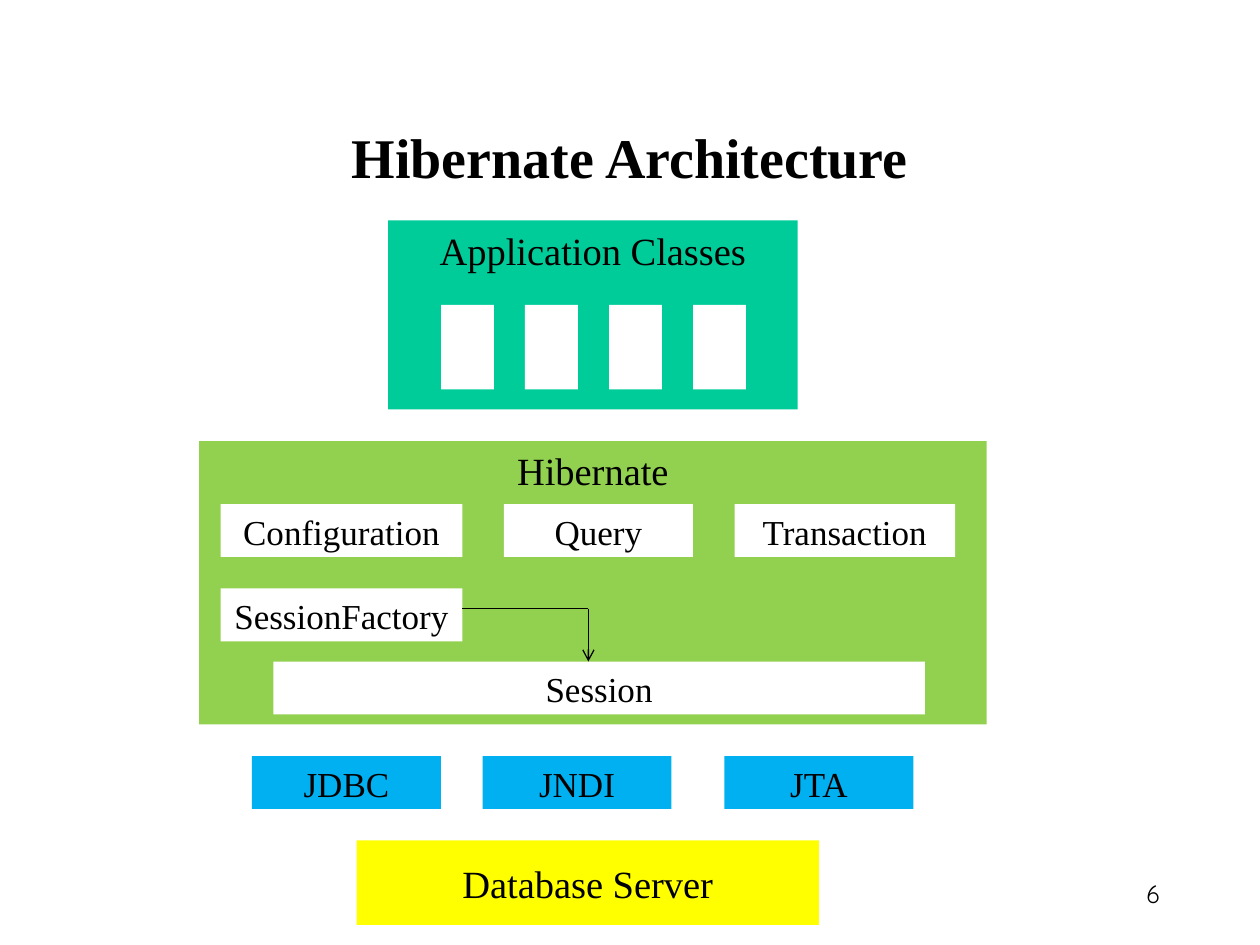
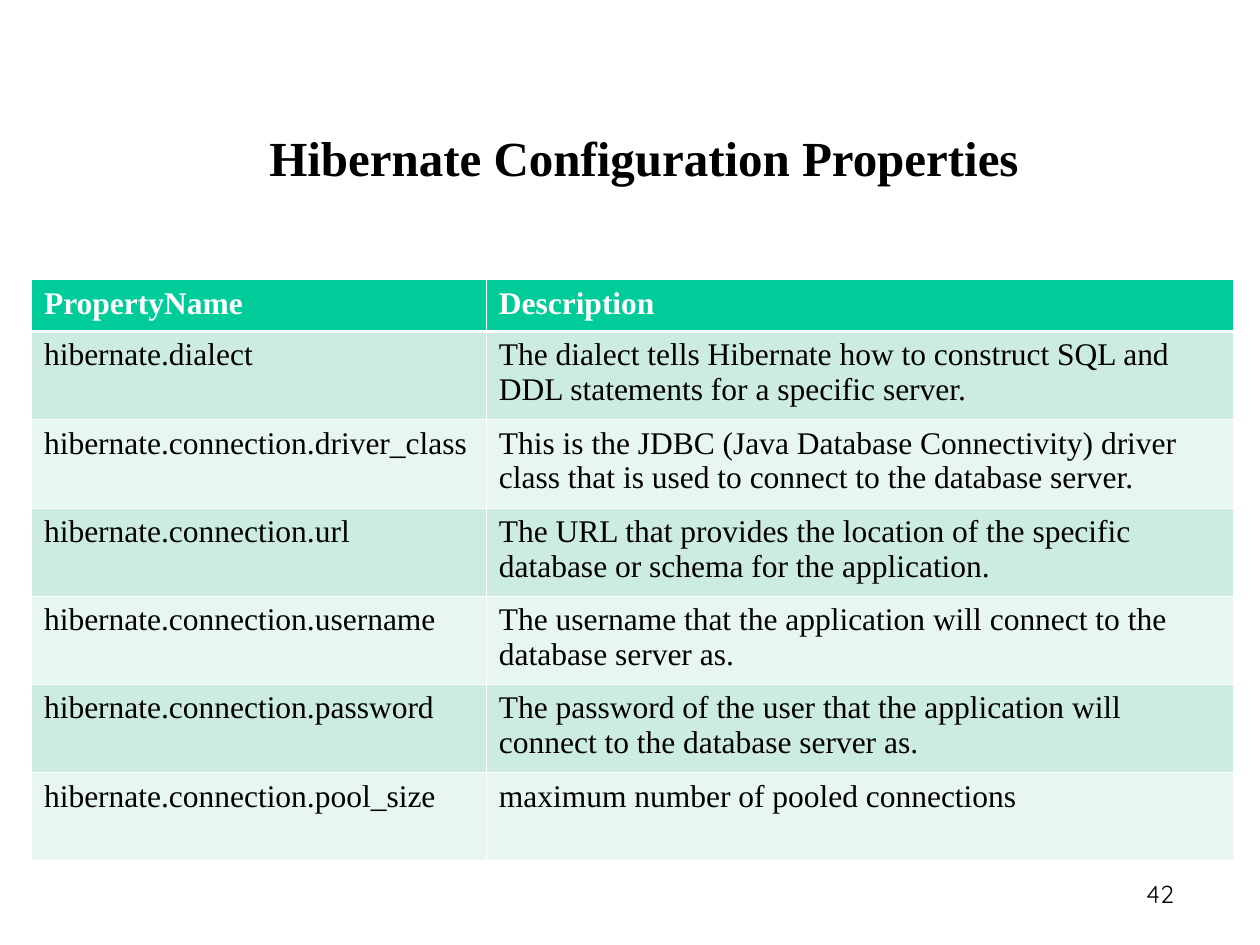
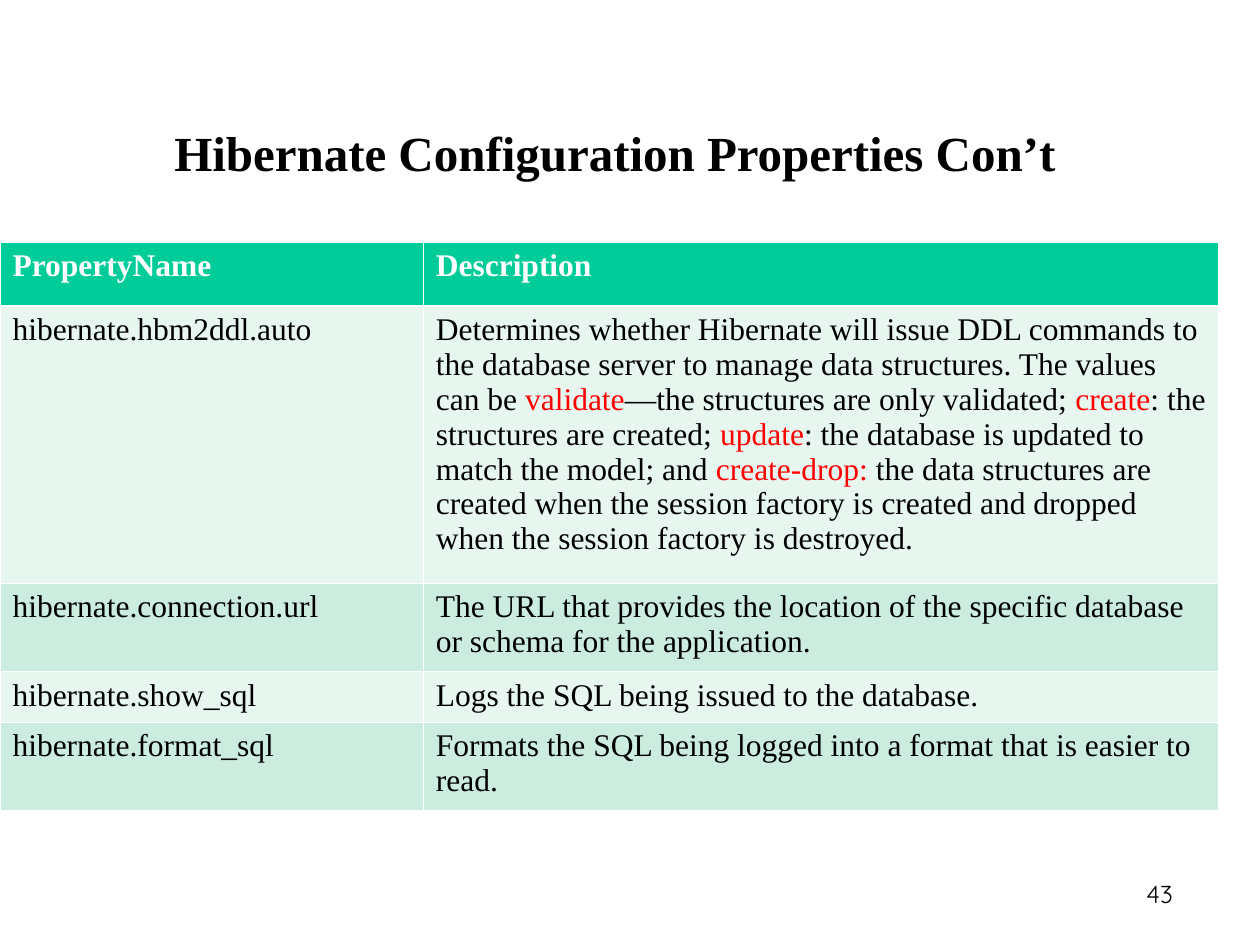
from lxml import etree
from pptx import Presentation
from pptx import util as u
from pptx.dml.color import RGBColor
from pptx.enum import shapes, text
from pptx.oxml import ns

COLORS = {
    "ink": "000000", "paper": "FFFFFF", "teal": "00CC99", "green": "92D050",
    "blue": "00B0F0", "yellow": "FFFF00", "keyword": "FF0000",
    "dark band": "CBECDE", "light band": "E7F6EF",
}
SERIF = "Times New Roman"


def write(frame, content, size, color="ink", bold=False, font=SERIF, **para_format):
    """Fill a text frame; parts between asterisks take the keyword colour."""
    frame.word_wrap = True
    for index, line in enumerate(content.split("\n")):
        para = frame.add_paragraph() if index else frame.paragraphs[0]
        for name, value in para_format.items():
            setattr(para, name, value)
        for part, words in enumerate(line.split("*")):
            span = para.add_run()
            span.text = words
            for name, value in {"name": font, "size": u.Pt(size), "bold": bold}.items():
                setattr(span.font, name, value)
            shade = COLORS["keyword" if part % 2 else color]
            span.font.color.rgb = RGBColor.from_string(shade)


def add_page(deck, title, place, size, number):
    """Add a slide with its title and page number."""
    page = deck.slides.add_slide(deck.slide_layouts[5])
    heading = page.shapes.title
    heading.left, heading.top, heading.width, heading.height = map(u.Inches, place)
    heading.text_frame.auto_size = text.MSO_AUTO_SIZE.NONE
    heading.text_frame.vertical_anchor = text.MSO_ANCHOR.TOP
    write(heading.text_frame, title, size, bold=True, alignment=text.PP_ALIGN.CENTER)
    box = page.shapes.add_textbox(*map(u.Inches, (9, 6.81, 0.55, 0.61)))
    write(box.text_frame, number, 14, font="Quicksand", line_spacing=1.5)
    return page


deck = Presentation()
deck.slide_width, deck.slide_height = u.Inches(10), u.Inches(7.5)

# Architecture diagram
page = add_page(deck, "Hibernate Architecture", (0.5, 0.92, 9, 0.63), 32, "6")
BAR = 0.42
blocks = [
    ("Application Classes", 3.08, 1.75, 3.25, 1.5, "teal", 22),
    *[("", 3.5 + 2 / 3 * column, 2.42, BAR, 0.67, "paper", 20) for column in range(4)],
    ("Hibernate", 1.58, 3.5, 6.25, 2.25, "green", 22),
    ("Configuration", 1.75, 4, 1.92, BAR, "paper", 20),
    ("Query", 4, 4, 1.5, BAR, "paper", 20),
    ("Transaction", 5.83, 4, 1.75, BAR, "paper", 20),
    ("SessionFactory", 1.75, 4.67, 1.92, BAR, "paper", 20),
    ("Session", 2.17, 5.25, 5.17, BAR, "paper", 20),
    ("JDBC", 2, 6, 1.5, BAR, "blue", 20),
    ("JNDI", 3.83, 6, 1.5, BAR, "blue", 20),
    ("JTA", 5.75, 6, 1.5, BAR, "blue", 20),
    ("Database Server", 2.83, 6.67, 3.67, 0.67, "yellow", 22),
]
for label, left, top, width, height, color, size in blocks:
    block = page.shapes.add_shape(
        shapes.MSO_SHAPE.RECTANGLE, *map(u.Inches, (left, top, width, height)))
    block.shadow.inherit = False
    block.fill.solid()
    block.fill.fore_color.rgb = RGBColor.from_string(COLORS[color])
    block.line.fill.background()
    if label:
        middle = label == "Database Server"
        block.text_frame.vertical_anchor = (
            text.MSO_ANCHOR.MIDDLE if middle else text.MSO_ANCHOR.TOP)
        write(block.text_frame, label, size, alignment=text.PP_ALIGN.CENTER)

corner = (4.67, 4.83)
for start, end in [((3.67, 4.83), corner), (corner, (4.67, 5.25))]:
    link = page.shapes.add_connector(
        shapes.MSO_CONNECTOR.STRAIGHT, *map(u.Inches, start + end))
    link.line.color.rgb = RGBColor.from_string(COLORS["ink"])
    link.line.width = u.Pt(0.75)
    etree.SubElement(link._element.spPr, ns.qn("a:effectLst"))
etree.SubElement(link.line._get_or_add_ln(), ns.qn("a:tailEnd"), type="arrow")

# Property tables
header = ("PropertyName", "Description")
url_row = ("hibernate.connection.url",
           "The URL that provides the location of the specific database or schema "
           "for the application.")
property_pages = [
    {
        "title": "Hibernate Configuration Properties ",
        "title place": (0.28, 0.96, 9.76, 0.57),
        "number": "42",
        "corner": (0.25, 2.22),
        "widths": (3.61, 5.93),
        "heights": (0.41,) + (0.7,) * 6,
        "bands": ("dark band", "light band"),
        "rows": [
            header,
            ("hibernate.dialect",
             "The dialect tells Hibernate how to construct SQL and DDL statements "
             "for a specific server."),
            ("hibernate.connection.driver_class",
             "This is the JDBC (Java Database Connectivity) driver class that is "
             "used to connect to the database server."),
            url_row,
            ("hibernate.connection.username",
             "The username that the application will connect to the\n"
             "database server as."),
            ("hibernate.connection.password",
             "The password of the user that the application will connect to the "
             "database server as."),
            ("hibernate.connection.pool_size", "maximum number of pooled connections"),
        ],
    },
    {
        "title": "Hibernate Configuration Properties Con’t",
        "title place": (0, 0.92, 9.76, 0.57),
        "number": "43",
        "corner": (0, 1.92),
        "widths": (3.36, 6.31),
        "heights": (0.51, 2.2, 0.7, 0.4, 0.7),
        "bands": ("light band", "dark band"),
        "rows": [
            header,
            ("hibernate.hbm2ddl.auto",
             "Determines whether Hibernate will issue DDL commands to the database "
             "server to manage data structures. The values can be *validate*—the "
             "structures are only validated; *create*: the structures are created; "
             "*update*: the database is updated to match the model; and "
             "*create-drop: *the data structures are created when the session "
             "factory is created and dropped when the session factory is destroyed."),
            url_row,
            ("hibernate.show_sql", "Logs the SQL being issued to the database."),
            ("hibernate.format_sql",
             "Formats the SQL being logged into a format that is easier to read."),
        ],
    },
]
for sheet in property_pages:
    page = add_page(deck, sheet["title"], sheet["title place"], 28, sheet["number"])
    rows, widths, heights = sheet["rows"], sheet["widths"], sheet["heights"]
    place = (*sheet["corner"], sum(widths), sum(heights))
    table = page.shapes.add_table(len(rows), len(widths), *map(u.Inches, place)).table
    for column, width in zip(table.columns, widths):
        column.width = u.Inches(width)
    for row, height in zip(table.rows, heights):
        row.height = u.Inches(height)
    for r, entries in enumerate(rows):
        band = sheet["bands"][(r - 1) % 2] if r else "teal"
        for c, entry in enumerate(entries):
            cell = table.cell(r, c)
            edges = cell._tc.get_or_add_tcPr()
            for side in "LRTB":
                thick = (r, side) in [(0, "B"), (1, "T")]
                edge = etree.SubElement(edges, ns.qn(f"a:ln{side}"),
                                        w=str(u.Pt(1.47 if thick else 0.45)))
                fill = etree.SubElement(edge, ns.qn("a:solidFill"))
                etree.SubElement(fill, ns.qn("a:srgbClr"), val=COLORS["paper"])
            cell.fill.solid()
            cell.fill.fore_color.rgb = RGBColor.from_string(COLORS[band])
            write(cell.text_frame, entry, 18, "ink" if r else "paper", bold=r == 0)

deck.save("out.pptx")
